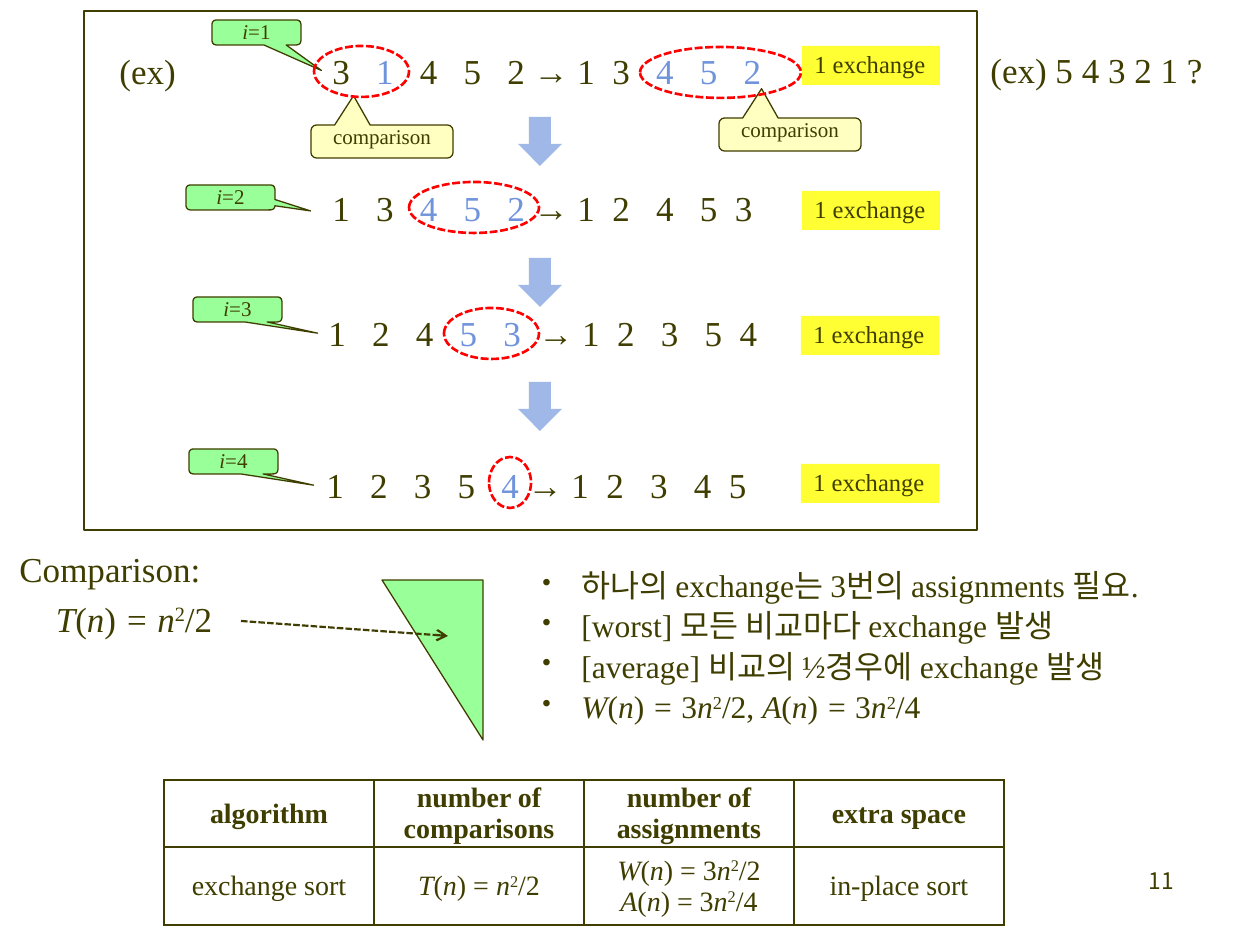
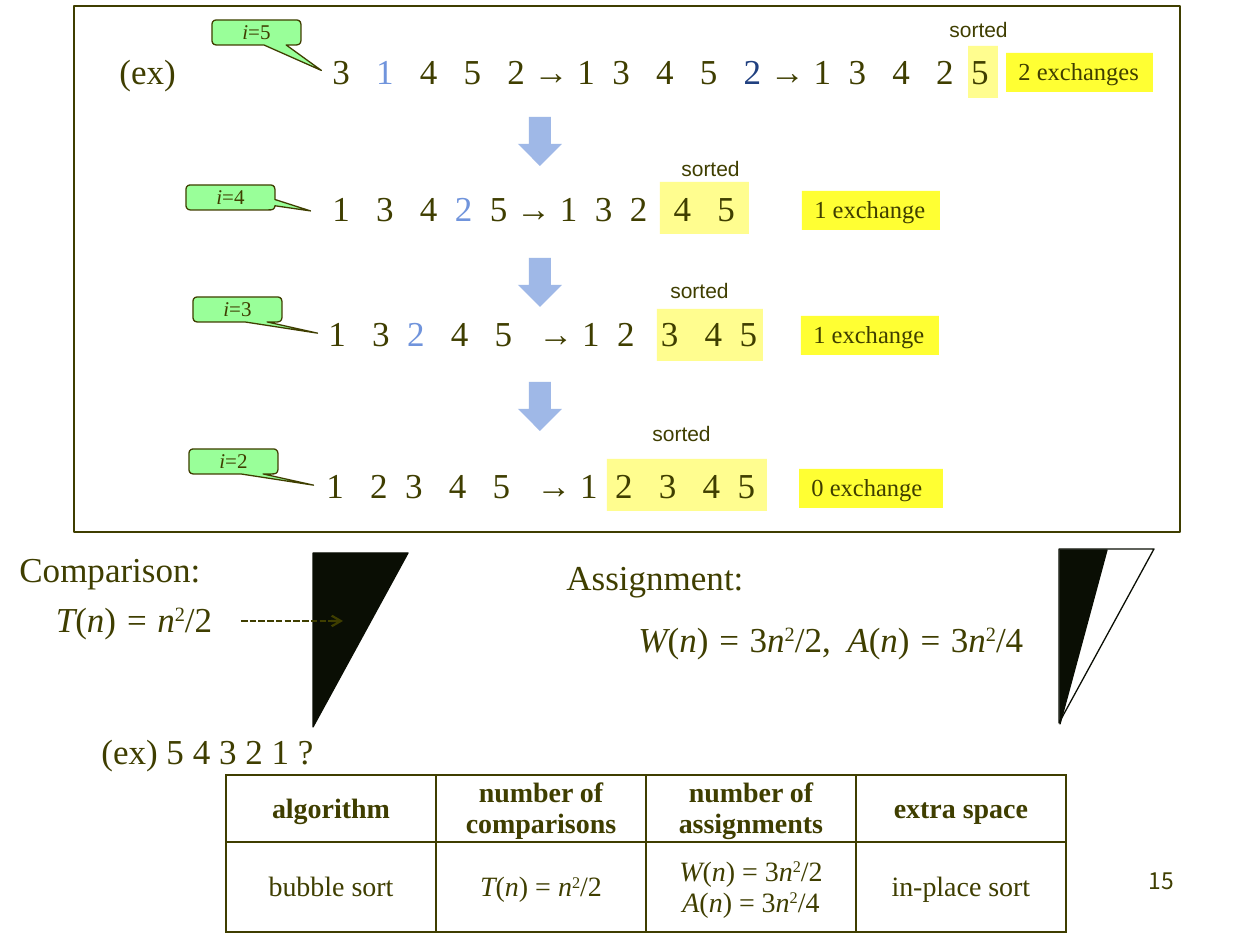
from dataclasses import dataclass
from itertools import accumulate, groupby

from lxml.etree import SubElement
from pptx import Presentation
from pptx.dml.color import RGBColor
from pptx.enum.dml import MSO_LINE
from pptx.enum.shapes import MSO_CONNECTOR, MSO_SHAPE
from pptx.enum.text import MSO_ANCHOR, MSO_AUTO_SIZE, PP_ALIGN
from pptx.oxml.ns import qn
from pptx.util import Pt

EMU_PER_PX = 914400 / 126
EM = 35
INSET = 13

INK = RGBColor(0x3F, 0x3E, 0x00)
BLUE = RGBColor(0x70, 0x94, 0xDC)
NAVY = RGBColor(0x20, 0x40, 0x80)
ARROW_BLUE = RGBColor(0x9F, 0xB8, 0xE7)
GREEN = RGBColor(0x99, 0xFF, 0x99)
YELLOW = RGBColor(0xFF, 0xFF, 0x33)
PALE_YELLOW = RGBColor(0xFF, 0xFD, 0x8F)
CREAM = RGBColor(0xFF, 0xFF, 0xC2)
RED = RGBColor(0xFF, 0x00, 0x00)
NIGHT = RGBColor(0x0A, 0x0E, 0x04)

SERIF = "Times New Roman"
SANS = "Arial"
KOREAN = "Noto Sans CJK KR"

STEP_LABELS = [
    (212, 20, 0.73, 1.52),
    (186, 185, 0.9, 0.54),
    (193, 297, 0.9, 0.95),
    (189, 449, 0.9, 0.95),
]
SEQUENCE_CORNERS = [(320, 48), (320, 185), (316, 310), (314, 462)]
ARROW_TOPS = [117, 258, 382]
TABLE_HEADER = ["algorithm", "number of comparisons", "number of assignments", "extra space"]


@dataclass
class Run:
    text: str
    italic: bool = False
    raised: bool = False
    color: RGBColor = INK


@dataclass
class Step:
    number: int
    tokens: str
    gaps: str
    colors: dict
    note: str
    note_box: tuple


def px(length):
    return round(length * EMU_PER_PX)


def formula(text, italic_signs=""):
    runs = []
    for index, chunk in enumerate(text.split("^")):
        if index:
            runs.append(Run(chunk[0], raised=True))
            chunk = chunk[1:]
        for italic, letters in groupby(chunk, lambda letter: letter.isalpha() or letter in italic_signs):
            runs.append(Run("".join(letters), italic))
    return runs


def write_text(frame, paragraphs, size=20, font=SERIF, align=PP_ALIGN.LEFT, bold=False,
               tight=True, bullets=False, stops=()):
    if isinstance(paragraphs, str):
        paragraphs = [[Run(paragraphs)]]
    for index, runs in enumerate(paragraphs):
        paragraph = frame.add_paragraph() if index else frame.paragraphs[0]
        paragraph.alignment = align
        if tight:
            paragraph.line_spacing = 0.9
            paragraph.space_before = Pt(size * 0.2)
        properties = paragraph._p.get_or_add_pPr()
        if bullets:
            properties.set("marL", str(px(39)))
            properties.set("indent", str(px(-39)))
            color = SubElement(properties, qn("a:buClr"))
            SubElement(color, qn("a:srgbClr"), val=str(INK))
            SubElement(properties, qn("a:buSzPct"), val="80000")
            SubElement(properties, qn("a:buChar"), char="•")
        if stops:
            tabs = SubElement(properties, qn("a:tabLst"))
            for stop in stops:
                SubElement(tabs, qn("a:tab"), pos=str(px(stop)), algn="l")
        for item in runs:
            run = paragraph.add_run()
            run.text = item.text
            run.font.size = Pt(size)
            run.font.name = font
            run.font.bold = bold
            run.font.italic = item.italic
            run.font.color.rgb = item.color
            run_properties = run.font._element
            SubElement(run_properties, qn("a:ea"), typeface=KOREAN)
            if item.raised:
                run_properties.set("baseline", "30000")


class Board:
    def __init__(self, presentation):
        self.presentation = presentation
        self.slide = None

    def start_slide(self, number):
        self.slide = self.presentation.slides.add_slide(self.presentation.slide_layouts[6])
        self.text(924, 861, 262, 63, str(number), wrap=True, grow=False, size=13,
                  font=KOREAN, align=PP_ALIGN.RIGHT, tight=False)

    def text(self, left, top, width, height, content, wrap=False, grow=True, **style):
        box = self.slide.shapes.add_textbox(px(left), px(top), px(width), px(height))
        self.fill_frame(box.text_frame, content, wrap, grow, **style)

    def fill_frame(self, frame, content, wrap, grow, **style):
        frame.word_wrap = wrap
        frame.auto_size = MSO_AUTO_SIZE.SHAPE_TO_FIT_TEXT if grow else MSO_AUTO_SIZE.NONE
        frame.vertical_anchor = MSO_ANCHOR.TOP
        write_text(frame, content, **style)

    def shape(self, kind, left, top, width, height, fill=None, line=None, weight=0.75, dashed=False):
        shape = self.slide.shapes.add_shape(kind, px(left), px(top), px(width), px(height))
        shape.shadow.inherit = False
        if fill is None:
            shape.fill.background()
        else:
            shape.fill.solid()
            shape.fill.fore_color.rgb = fill
        if line is None:
            shape.line.fill.background()
        else:
            shape.line.color.rgb = line
            shape.line.width = Pt(weight)
            if dashed:
                shape.line.dash_style = MSO_LINE.SQUARE_DOT
        return shape

    def callout(self, left, top, width, height, tail, content, fill, grow=False):
        shape = self.shape(MSO_SHAPE.ROUNDED_RECTANGULAR_CALLOUT, left, top, width, height, fill, INK)
        for index, value in enumerate(tail):
            shape.adjustments[index] = value
        frame = shape.text_frame
        frame.margin_left = frame.margin_right = frame.margin_top = frame.margin_bottom = 0
        self.fill_frame(frame, content, True, grow, size=12, align=PP_ALIGN.CENTER)

    def note(self, left, top, width, content):
        shape = self.shape(MSO_SHAPE.RECTANGLE, left, top, width, 39, YELLOW)
        self.fill_frame(shape.text_frame, content, False, True, size=14)

    def ring(self, left, top, width):
        self.shape(MSO_SHAPE.OVAL, left, top, width, 51, line=RED, weight=1.5, dashed=True)

    def corner_triangle(self, left, top, width, height, fill=None):
        shape = self.shape(MSO_SHAPE.RIGHT_TRIANGLE, left + (width - height) / 2,
                           top + (height - width) / 2, height, width, fill, NIGHT)
        shape.rotation = 90

    def pointer(self, start, end):
        connector = self.slide.shapes.add_connector(
            MSO_CONNECTOR.STRAIGHT, *(px(value) for value in start + end))
        connector.line.color.rgb = INK
        connector.line.width = Pt(1.25)
        connector.line.dash_style = MSO_LINE.SQUARE_DOT
        SubElement(connector.line._get_or_add_ln(), qn("a:tailEnd"), type="arrow")
        SubElement(connector._element.spPr, qn("a:effectLst"))

    def sequence(self, left, top, step):
        tokens = step.tokens.split()
        advances = [(EM if token == "→" else EM / 2) + int(gap) * EM / 4
                    for token, gap in zip(tokens, step.gaps)]
        stops = list(accumulate(advances))
        runs = [Run(("\t" if index else "") + token, color=step.colors.get(index, INK))
                for index, token in enumerate(tokens)]
        self.text(left, top, stops[-1] + EM + 2 * INSET, 50, [runs], wrap=True, stops=stops)

    def trace(self, steps):
        self.text(107, 48, 82, 50, "(ex)")
        for step, label, corner in zip(steps, STEP_LABELS, SEQUENCE_CORNERS):
            left, top, *tail = label
            self.callout(left, top, 89, 25, tail, [formula(f"i={step.number}")], GREEN, grow=True)
            self.sequence(*corner, step)
            self.note(*step.note_box, step.note)
        for top in ARROW_TOPS:
            self.shape(MSO_SHAPE.DOWN_ARROW, 518, top, 44, 49, ARROW_BLUE)

    def comparison_cost(self):
        self.text(7, 546, 217, 50, "Comparison:")
        self.text(42, 596, 184, 50, [formula("T(n) = n^2/2", "=")], align=PP_ALIGN.CENTER)

    def cost_table(self, left, top, row_heights, algorithm):
        rows = [
            [[[Run(title)]] for title in TABLE_HEADER],
            [
                [[Run(algorithm)]],
                [formula("T(n) = n^2/2")],
                [formula("W(n) = 3n^2/2"), formula("A(n) = 3n^2/4")],
                [[Run("in-place sort")]],
            ],
        ]
        table = self.slide.shapes.add_table(
            2, 4, px(left), px(top), px(840), px(sum(row_heights))).table
        table.first_row = table.horz_banding = False
        for column in table.columns:
            column.width = px(210)
        for row_index, contents in enumerate(rows):
            table.rows[row_index].height = px(row_heights[row_index])
            for column_index, content in enumerate(contents):
                cell = table.cell(row_index, column_index)
                cell.margin_left = cell.margin_right = px(9)
                cell.margin_top = cell.margin_bottom = 0
                cell.vertical_anchor = MSO_ANCHOR.MIDDLE
                write_text(cell.text_frame, content, size=16, align=PP_ALIGN.CENTER,
                           bold=row_index == 0, tight=False)
                self.cell_borders(cell)
                cell.fill.background()

    def cell_borders(self, cell):
        properties = cell._tc.get_or_add_tcPr()
        for side in ("a:lnL", "a:lnR", "a:lnT", "a:lnB"):
            border = SubElement(properties, qn(side), w=str(Pt(1)))
            fill = SubElement(border, qn("a:solidFill"))
            SubElement(fill, qn("a:srgbClr"), val=str(INK))


def build_exchange_sort(board):
    board.start_slide(11)
    board.shape(MSO_SHAPE.RECTANGLE, 84, 11, 893, 519, line=INK)
    board.trace([
        Step(1, "3 1 4 5 2 → 1 3 4 5 2", "3333112333", dict.fromkeys((1, 8, 9, 10), BLUE),
             "1 exchange", (802, 46, 138)),
        Step(2, "1 3 4 5 2 → 1 2 4 5 3", "3333112332", dict.fromkeys((2, 3, 4), BLUE),
             "1 exchange", (802, 191, 138)),
        Step(3, "1 2 4 5 3 → 1 2 3 5 4", "3333212332", dict.fromkeys((3, 4), BLUE),
             "1 exchange", (801, 316, 138)),
        Step(4, "1 2 3 5 4 → 1 2 3 4 5", "3333112332", {4: BLUE},
             "1 exchange", (801, 464, 138)),
    ])
    for left, top in ((719, 118), (311, 125)):
        board.callout(left, top, 142, 33, (-0.2, -1.39), "comparison", CREAM)
    for ring in ((640, 47, 161), (314, 46, 95), (409, 182, 130), (444, 308, 95), (489, 457, 42)):
        board.ring(*ring)
    board.text(978, 47, 239, 50, "(ex) 5 4 3 2 1 ?")
    board.comparison_cost()
    triangle = board.shape(MSO_SHAPE.RIGHT_TRIANGLE, 382, 580, 101, 160, GREEN, INK)
    triangle.rotation = 180
    board.pointer((241, 621), (448, 636))
    board.text(530, 564, 687, 173, [
        [Run("하나의 exchange는 3번의 assignments 필요.")],
        [Run("[worst] 모든 비교마다 exchange 발생")],
        [Run("[average] 비교의 ½경우에 exchange 발생")],
        formula("W(n) = 3n^2/2, A(n) = 3n^2/4", "="),
    ], wrap=True, size=18, bullets=True)
    board.cost_table(164, 780, (67, 78), "exchange sort")


def build_bubble_sort(board):
    board.start_slide(15)
    for sorted_part in ((968, 46, 30), (660, 182, 89), (657, 309, 106), (607, 459, 160)):
        board.shape(MSO_SHAPE.RECTANGLE, *sorted_part, 52, PALE_YELLOW)
    board.shape(MSO_SHAPE.RECTANGLE, 74, 6, 1106, 526, line=INK)
    board.trace([
        Step(5, "3 1 4 5 2 → 1 3 4 5 2 → 1 3 4 2 5", "3333112333112332", {1: BLUE, 10: NAVY},
             "2 exchanges", (1006, 53, 147)),
        Step(4, "1 3 4 2 5 → 1 3 2 4 5", "3322112233", {3: BLUE},
             "1 exchange", (802, 191, 138)),
        Step(3, "1 3 2 4 5 → 1 2 3 4 5", "3233312332", {2: BLUE},
             "1 exchange", (801, 316, 138)),
        Step(2, "1 2 3 4 5 → 1 2 3 4 5", "3233312332", {},
             "0 exchange", (799, 469, 144)),
    ])
    for left, top in ((937, 10), (669, 149), (658, 271), (640, 414)):
        board.text(left, top, 84, 38, "sorted", size=12, font=SANS, tight=False)
    board.comparison_cost()
    board.corner_triangle(313, 553, 95, 174, NIGHT)
    board.pointer((241, 621), (343, 621))
    board.text(554, 554, 213, 50, "Assignment:")
    board.text(626, 616, 425, 50, [formula("W(n) = 3n^2/2,\tA(n) = 3n^2/4", "=")],
               wrap=True, stops=[209])
    board.corner_triangle(1059, 549, 95, 174)
    board.corner_triangle(1060, 550, 47, 174, NIGHT)
    board.text(89, 728, 239, 50, "(ex) 5 4 3 2 1 ?")
    board.cost_table(226, 775, (67, 90), "bubble sort")


def main():
    presentation = Presentation()
    presentation.slide_width = px(1260)
    presentation.slide_height = px(945)
    board = Board(presentation)
    build_exchange_sort(board)
    build_bubble_sort(board)
    presentation.save("out.pptx")


if __name__ == "__main__":
    main()
